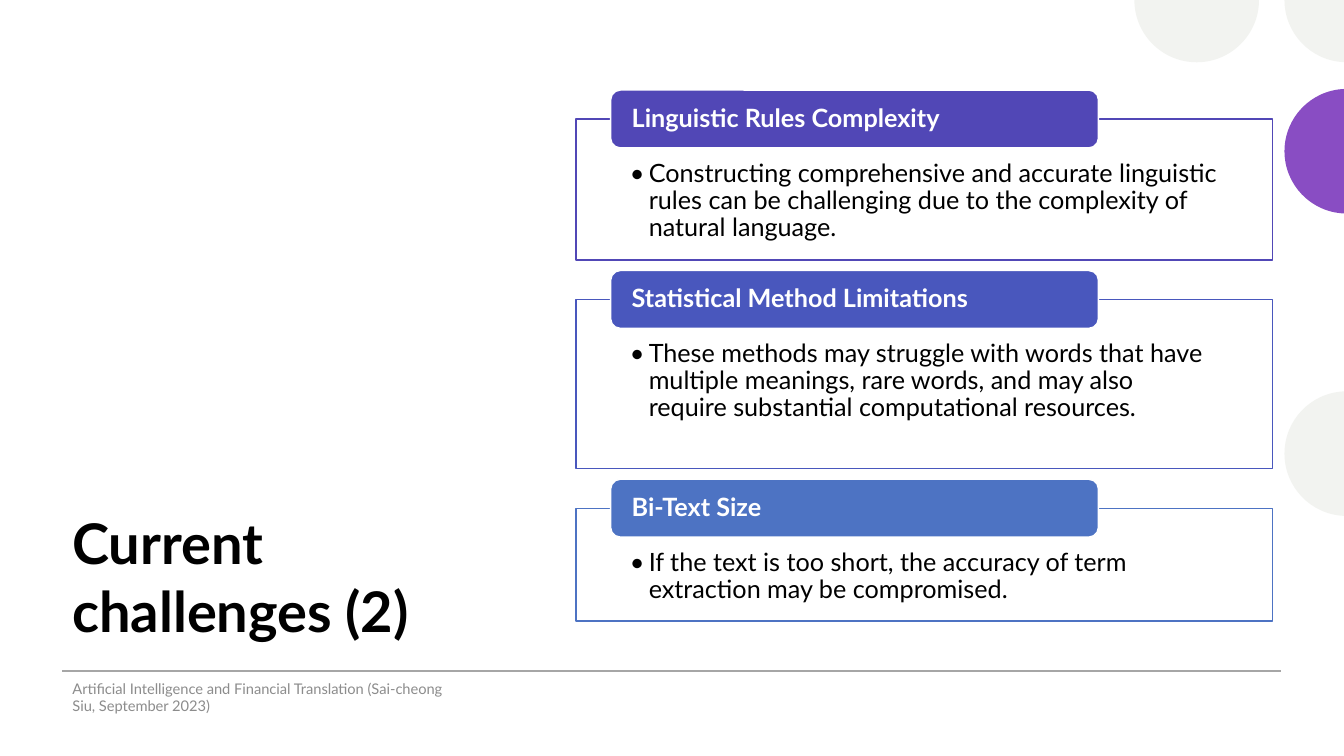
from dataclasses import dataclass
from math import cos, radians, sin, tan

from lxml.etree import Element, SubElement
from pptx import Presentation
from pptx.dml.color import RGBColor
from pptx.enum.shapes import MSO_CONNECTOR, MSO_SHAPE
from pptx.enum.text import MSO_ANCHOR as Anchor, PP_ALIGN as Align
from pptx.oxml.ns import qn
from pptx.util import Pt


@dataclass(frozen=True)
class Theme:
    font: str = "Lato"
    white: str = "FFFFFF"
    black: str = "000000"
    pale: str = "F2F3F0"
    purple: str = "894DC3"
    rule: str = "A6A6A6"
    muted: str = "8C8C8C"
    title_size: float = 40
    body_size: float = 18
    footer_size: float = 10.5


THEME = Theme()
SLIDE_WIDTH, SLIDE_HEIGHT = 960, 540
MARGIN_LEFT = 44.64

# Decorative circle parts: centre x, centre y, arc angles, outer corners, colour
CIRCLE_RADIUS = 44.5
EDGE_X, EDGE_START, EDGE_END = 962, 92.58, 267.42
CIRCLE_PARTS = [
    (854.8, 0, (0, 90, 180), [], THEME.pale),
    (EDGE_X, 324, (EDGE_START, 180, EDGE_END), [], THEME.pale),
    (EDGE_X, 108, (EDGE_START, 180, EDGE_END), [], THEME.purple),
    (EDGE_X, 0, (EDGE_START, 180), [(SLIDE_WIDTH, 0)], THEME.pale),
]

# Panels: heading, body, body height, right inset, colour
PANELS = [
    ("Linguistic Rules Complexity",
     "Constructing comprehensive and accurate linguistic rules can be "
     "challenging due to the complexity of natural language.",
     100.6, 38.6, "5147B6"),
    ("Statistical Method Limitations",
     "These methods may struggle with words that have multiple meanings, "
     "rare words, and may also require substantial computational resources.",
     120.8, 42, "4957BD"),
    ("Bi-Text Size",
     "If the text is too short, the accuracy of term extraction may be "
     "compromised.",
     80.6, 38.6, "4D73C3"),
]
PANEL_LEFT, PANEL_TOP, PANEL_WIDTH, PANEL_GAP = 411.3, 85, 497.5, 28.3
HEADER_LEFT, HEADER_WIDTH, HEADER_HEIGHT = 436.2, 348.4, 41.3


def rgb(value):
    return RGBColor.from_string(value)


def set_text(shape, text, size, color, bold=False, anchor=Anchor.MIDDLE,
             insets=(7.2, 3.6, 7.2, 3.6)):
    frame = shape.text_frame
    frame.word_wrap = True
    frame.vertical_anchor = anchor
    frame.margin_left, frame.margin_top, frame.margin_right, frame.margin_bottom = map(Pt, insets)
    frame.text = text
    paragraph = frame.paragraphs[0]
    paragraph.alignment = Align.LEFT
    font = paragraph.runs[0].font
    font.name, font.size, font.bold = THEME.font, Pt(size), bold
    font.color.rgb = rgb(color)
    return paragraph


def add_label(slide, box, text, size, color, **options):
    shape = slide.shapes.add_textbox(*map(Pt, box))
    set_text(shape, text, size, color, **options)


def add_box(slide, kind, box, fill, line):
    shape = slide.shapes.add_shape(kind, *map(Pt, box))
    shape.shadow.inherit = False
    shape.fill.solid()
    shape.fill.fore_color.rgb = rgb(fill)
    shape.line.color.rgb = rgb(line)
    shape.line.width = Pt(1)
    return shape


def add_bullet(paragraph, indent):
    properties = paragraph._p.get_or_add_pPr()
    properties.set("marL", str(Pt(indent)))
    properties.set("indent", str(-Pt(indent)))
    SubElement(properties, qn("a:buFont"), typeface=THEME.font)
    SubElement(properties, qn("a:buChar"), char="•")


def add_circle_part(slide, center_x, center_y, angles, corners, color):
    """Draw the part of a circle that lies within the slide."""
    def place(angle, tangent=0):
        a = radians(angle)
        return (center_x + CIRCLE_RADIUS * (cos(a) - tangent * sin(a)),
                center_y + CIRCLE_RADIUS * (sin(a) + tangent * cos(a)))

    points = [tuple(map(Pt, point)) for point in [*map(place, angles), *corners]]
    builder = slide.shapes.build_freeform(*points[0])
    builder.add_line_segments(points[1:], close=True)
    shape = builder.convert_to_shape()

    # Turn the segments between the angles into Bézier arcs
    segments = list(shape._element.iter(qn("a:lnTo")))
    for segment, start, end in zip(segments, angles, angles[1:]):
        reach = 4 / 3 * tan(radians(end - start) / 4)
        segment.tag = qn("a:cubicBezTo")
        for index, (x, y) in enumerate([place(start, reach), place(end, -reach)]):
            segment.insert(index, Element(qn("a:pt"), x=str(Pt(x) - shape.left),
                                          y=str(Pt(y) - shape.top)))
    shape.shadow.inherit = False
    shape.fill.solid()
    shape.fill.fore_color.rgb = rgb(color)
    shape.line.fill.background()


def add_rule(slide, left, right, y):
    rule = slide.shapes.add_connector(
        MSO_CONNECTOR.STRAIGHT, Pt(left), Pt(y), Pt(right), Pt(y))
    rule.line.color.rgb = rgb(THEME.rule)
    rule.line.width = Pt(1)
    SubElement(rule._element.spPr, qn("a:effectLst"))


def add_panel(slide, top, heading, body, height, right_inset, color):
    frame = add_box(slide, MSO_SHAPE.RECTANGLE,
                    (PANEL_LEFT, top, PANEL_WIDTH, height), THEME.white, color)
    paragraph = set_text(frame, body, THEME.body_size, THEME.black,
                         anchor=Anchor.TOP, insets=(38.6, 29.5, right_inset, 10))
    paragraph.line_spacing = 0.9
    add_bullet(paragraph, 13.5)

    header = add_box(slide, MSO_SHAPE.ROUNDED_RECTANGLE,
                     (HEADER_LEFT, top - HEADER_HEIGHT / 2, HEADER_WIDTH, HEADER_HEIGHT),
                     color, THEME.white)
    paragraph = set_text(header, heading, THEME.body_size, THEME.white,
                         bold=True, insets=(13, 0, 13, 0))
    paragraph.line_spacing = 0.9


def main():
    presentation = Presentation()
    presentation.slide_width = Pt(SLIDE_WIDTH)
    presentation.slide_height = Pt(SLIDE_HEIGHT)
    slide = presentation.slides.add_slide(presentation.slide_layouts[6])
    slide.background.fill.solid()
    slide.background.fill.fore_color.rgb = rgb(THEME.white)

    # Title and decoration
    add_label(slide, (MARGIN_LEFT, 196, 284.4, 267), "Current challenges (2)",
              THEME.title_size, THEME.black, bold=True, anchor=Anchor.BOTTOM)
    for part in CIRCLE_PARTS:
        add_circle_part(slide, *part)
    add_rule(slide, MARGIN_LEFT, 915, 479.4)

    # Challenge panels, stacked with equal gaps
    top = PANEL_TOP
    for heading, body, height, right_inset, color in PANELS:
        add_panel(slide, top, heading, body, height, right_inset, color)
        top += height + PANEL_GAP

    # Footer
    add_label(slide, (MARGIN_LEFT, 483.5, 284.4, 28.8),
              "Artificial Intelligence and Financial Translation "
              "(Sai-cheong Siu, September 2023)",
              THEME.footer_size, THEME.muted)

    presentation.save("out.pptx")


if __name__ == "__main__":
    main()
